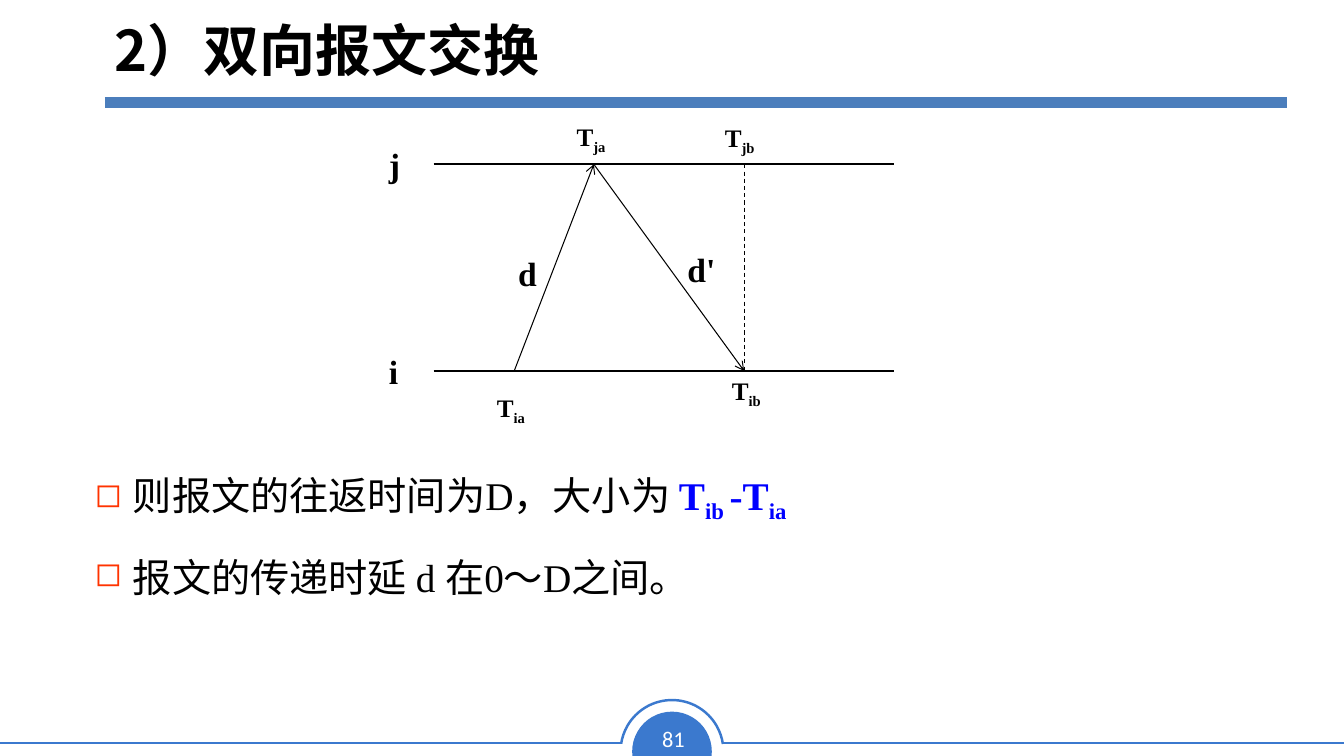
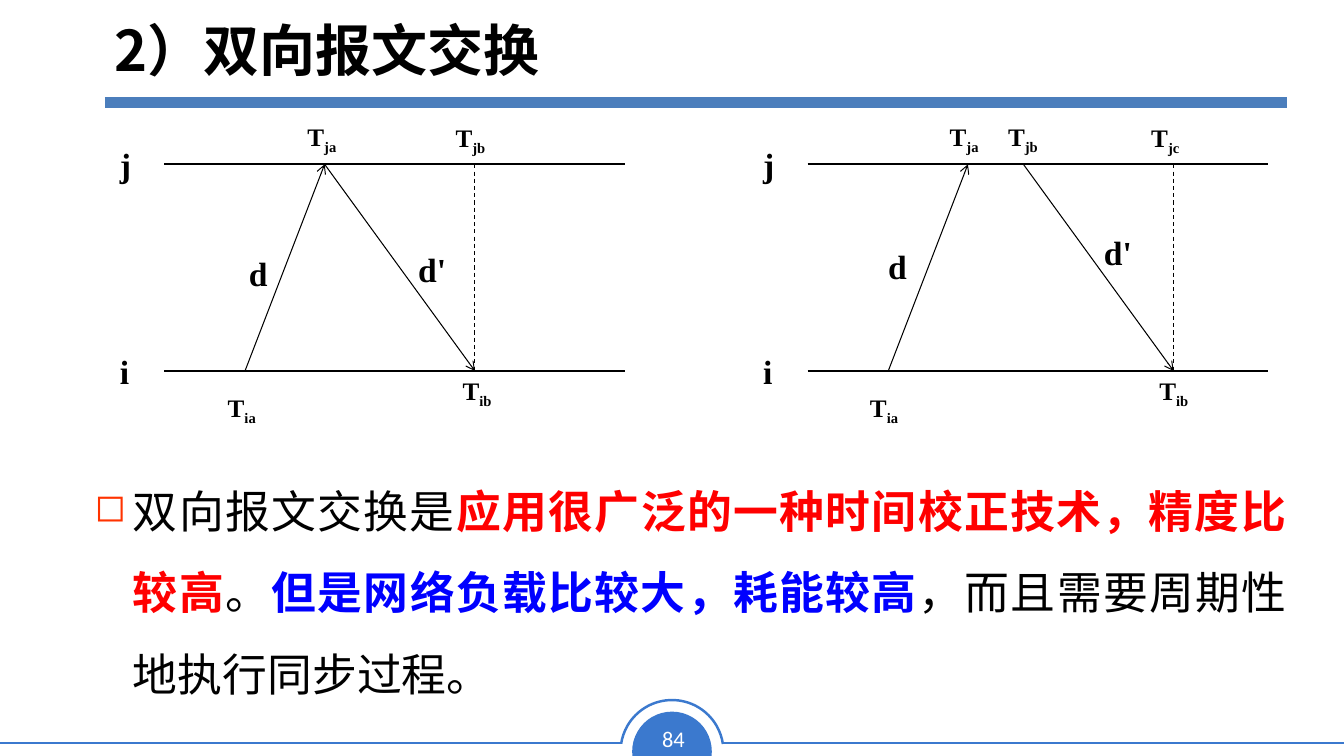
"""Build two slides on two-way message exchange for clock synchronisation."""
from lxml import etree
from pptx import Presentation, util as u
from pptx.dml.color import RGBColor
from pptx.enum import dml, shapes, text
from pptx.oxml.ns import qn

THEME = {
    "black": "000000", "white": "FFFFFF", "red": "FF0000", "blue": "0000FF",
    "accent": "3B79CE", "rule": "4B7EBC", "bullet": "FF3300",
    "serif": "Times New Roman", "sans": "Noto Sans CJK SC", "number": "Calibri",
    "title": 40, "node": 24, "time": 18, "page": 16,
}
WIDTH, HEIGHT = 13.33, 7.5
TITLE = "2）双向报文交换"
TOP_LINE, BOTTOM_LINE, LINE_LENGTH = 1.63, 3.68, 4.57

STYLES = {
    "plain": {},
    "sub": {"sub": True},
    "red": {"color": "red", "bold": True},
    "blue": {"color": "blue", "bold": True},
    "blue sub": {"color": "blue", "bold": True, "sub": True},
}

IMMEDIATE = {
    "sent": 0.8, "received": 1.59, "replied": 1.59, "returned": 3.08,
    "times": [("ia", 0.53, 3.84), ("ja", 1.32, 1.15), ("ib", 2.86, 3.67), ("jb", 2.79, 1.16)],
    "delays": [("d", 0.74, 2.46), ("d'", 2.42, 2.42)],
}
DELAYED = {
    "sent": 0.8, "received": 1.59, "replied": 2.14, "returned": 3.63,
    "times": [("ia", 0.52, 3.84), ("ja", 1.31, 1.15), ("ib", 3.39, 3.67),
              ("jc", 3.31, 1.16), ("jb", 1.89, 1.15)],
    "delays": [("d", 0.7, 2.39), ("d'", 2.84, 2.25)],
}
NODES = [("i", -0.54, BOTTOM_LINE - 0.25), ("j", -0.54, TOP_LINE - 0.25)]

SLIDES = [
    {
        "number": "81",
        "diagrams": [(4.3, IMMEDIATE)],
        "body": {"top": 4.4, "height": 1.43, "size": 28, "font": "serif", "spacing": 54.3},
        "paragraphs": [
            [("则报文的往返时间为D，大小为 ", "plain"), ("T", "blue"), ("ib ", "blue sub"),
             ("-T", "blue"), ("ia", "blue sub")],
            [("报文的传递时延 d 在0～D之间。", "plain")],
        ],
    },
    {
        "number": "84",
        "diagrams": [(1.63, IMMEDIATE), (8.01, DELAYED)],
        "body": {"top": 4.48, "height": 2.43, "size": 32, "font": "sans", "spacing": 58},
        "paragraphs": [
            [("双向报文交换是", "plain"), ("应用很广泛的一种时间校正技术，精度比较高", "red"),
             ("。", "plain"), ("但是网络负载比较大，耗能较高", "blue"),
             ("，而且需要周期性地执行同步过程。", "plain")],
        ],
    },
]


def color(name):
    return RGBColor.from_string(THEME[name])


def inches(*lengths):
    return [u.Inches(length) for length in lengths]


def add_span(para, words, size, font="serif", color_name="black", bold=False, sub=False):
    span = para.add_run()
    span.text = words
    for name, value in {"size": u.Pt(size), "name": THEME[font], "bold": bold}.items():
        setattr(span.font, name, value)
    span.font.color.rgb = color(color_name)
    properties = span.font._element
    etree.SubElement(properties, qn("a:ea")).set("typeface", THEME["sans"])
    if sub:
        properties.set("baseline", "-25000")


def add_text(slide, left, top, width, height):
    box = slide.shapes.add_textbox(*inches(left, top, width, height))
    box.text_frame.word_wrap = True
    return box.text_frame


def add_line(slide, start, end, weight, color_name="black", arrow=False, dashed=False):
    line = slide.shapes.add_connector(shapes.MSO_CONNECTOR.STRAIGHT, *inches(*start, *end))
    line.line.width = u.Pt(weight)
    line.line.color.rgb = color(color_name)
    if dashed:
        line.line.dash_style = dml.MSO_LINE.DASH
    if arrow:
        etree.SubElement(line.line._get_or_add_ln(), qn("a:tailEnd")).set("type", "arrow")
    etree.SubElement(line._element.spPr, qn("a:effectLst"))


def add_round(slide, kind, diameter, adjustments, rotation=0):
    left = WIDTH / 2 - diameter / 2
    shape = slide.shapes.add_shape(kind, *inches(left, 7.455 - diameter / 2, diameter, diameter))
    shape.shadow.inherit = False
    shape.rotation = rotation
    for index, value in enumerate(adjustments):
        shape.adjustments[index] = value
    return shape


def add_frame(slide, number):
    chord = add_round(slide, shapes.MSO_SHAPE.CHORD, 0.79, (35.77, 153.29), 112.4)
    chord.fill.solid()
    chord.fill.fore_color.rgb = color("accent")
    chord.line.fill.background()
    for start, end in ((0, 6.16), (7.17, WIDTH)):
        add_line(slide, (start, 7.37), (end, 7.37), 1.77, "accent")
    arc = add_round(slide, shapes.MSO_SHAPE.ARC, 1.02, (113.17, 210.98))
    arc.fill.background()
    arc.line.width = u.Pt(1.77)
    arc.line.color.rgb = color("accent")
    para = add_text(slide, 6.38, 7.14, 0.6, 0.37).paragraphs[0]
    para.alignment = text.PP_ALIGN.CENTER
    add_span(para, number, THEME["page"], "number", "white")
    add_line(slide, (1.04, 1.02), (12.76, 1.02), 8, "rule")


def add_title(slide):
    title = slide.shapes.title
    place = zip(("left", "top", "width", "height"), inches(1.04, 0.05, 11.69, 0.92))
    for name, value in place:
        setattr(title, name, value)
    frame = title.text_frame
    frame.auto_size = text.MSO_AUTO_SIZE.NONE
    frame.vertical_anchor = text.MSO_ANCHOR.TOP
    para = frame.paragraphs[0]
    para.alignment = text.PP_ALIGN.LEFT
    para.line_spacing = u.Pt(52)
    add_span(para, TITLE, THEME["title"], "sans", bold=True)


def add_diagram(slide, left, diagram):
    sent, received, replied, returned = (
        left + diagram[name] for name in ("sent", "received", "replied", "returned"))
    for level in (TOP_LINE, BOTTOM_LINE):
        add_line(slide, (left, level), (left + LINE_LENGTH, level), 1.5)
    add_line(slide, (sent, BOTTOM_LINE), (received, TOP_LINE), 0.75, arrow=True)
    add_line(slide, (replied, TOP_LINE), (returned, BOTTOM_LINE), 0.75, arrow=True)
    add_line(slide, (returned, TOP_LINE), (returned, BOTTOM_LINE), 0.75, dashed=True)
    for words, offset, top in NODES + diagram["delays"]:
        para = add_text(slide, left + offset, top, 0.6, 0.5).paragraphs[0]
        add_span(para, words, THEME["node"], bold=True)
    for index, offset, top in diagram["times"]:
        para = add_text(slide, left + offset, top, 0.6, 0.4).paragraphs[0]
        add_span(para, "T", THEME["time"], bold=True)
        add_span(para, index, THEME["time"], bold=True, sub=True)


def add_bullet(para):
    properties = para._p.get_or_add_pPr()
    for name, value in {"marL": 0.38, "indent": -0.38}.items():
        properties.set(name, str(u.Inches(value)))
    tint = etree.SubElement(properties, qn("a:buClr"))
    etree.SubElement(tint, qn("a:srgbClr")).set("val", THEME["bullet"])
    etree.SubElement(properties, qn("a:buSzPct")).set("val", "85000")
    etree.SubElement(properties, qn("a:buChar")).set("char", "◻")


def add_body(slide, body, paragraphs):
    frame = add_text(slide, 0.84, body["top"], 12.02, body["height"])
    for index, spans in enumerate(paragraphs):
        para = frame.add_paragraph() if index else frame.paragraphs[0]
        add_bullet(para)
        para.alignment = text.PP_ALIGN.JUSTIFY
        para.line_spacing = u.Pt(body["spacing"])
        for words, style in spans:
            look = STYLES[style]
            add_span(para, words, body["size"], body["font"], look.get("color", "black"),
                     look.get("bold", False), look.get("sub", False))


def main():
    deck = Presentation()
    deck.slide_width, deck.slide_height = inches(WIDTH, HEIGHT)
    for content in SLIDES:
        slide = deck.slides.add_slide(deck.slide_layouts[5])
        add_frame(slide, content["number"])
        add_title(slide)
        for left, diagram in content["diagrams"]:
            add_diagram(slide, left, diagram)
        add_body(slide, content["body"], content["paragraphs"])
    deck.save("out.pptx")


if __name__ == "__main__":
    main()
